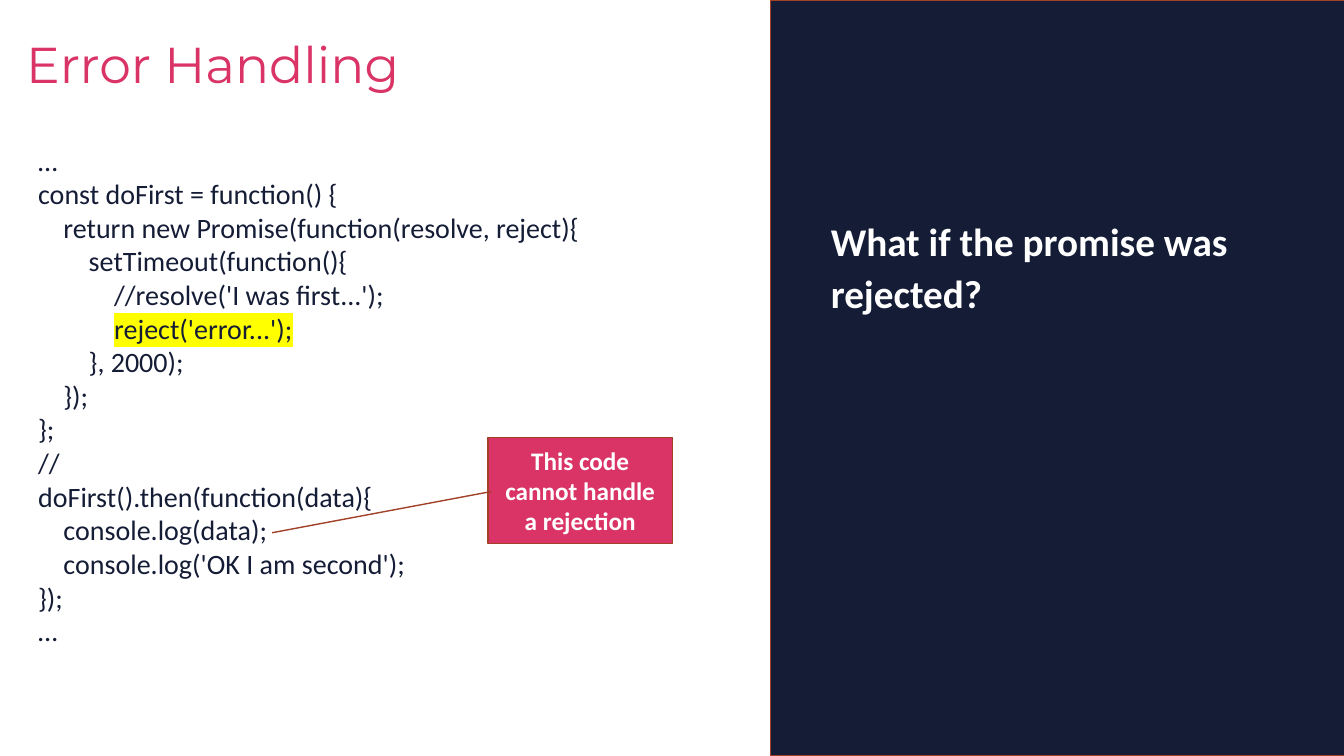
from lxml import etree
from pptx import Presentation
from pptx.dml.color import RGBColor
from pptx.enum.shapes import MSO_SHAPE as Preset
from pptx.enum.text import MSO_ANCHOR as Anchor, MSO_AUTO_SIZE as AutoSize, PP_ALIGN as Align
from pptx.oxml.ns import qn
from pptx.util import Inches, Pt

COLORS = {"navy": "141C36", "pink": "DA3467", "rust": "A14127",
          "white": "FFFFFF", "marker": "FFFF00"}

TITLE = {"name": "Montserrat", "size": Pt(36), "bold": False}
QUESTION = {"name": "Calibri", "size": Pt(28), "bold": True}
CODE = {"name": "Calibri", "size": Pt(20), "bold": False}
NOTE = {"name": "Calibri", "size": Pt(18), "bold": True}

REJECTION = "reject('error...');"
CODE_TEXT = f"""…
const doFirst = function() {{
    return new Promise(function(resolve, reject){{
        setTimeout(function(){{
            //resolve('I was first...');
            {REJECTION}
        }}, 2000);
    }});
}};
//
doFirst().then(function(data){{
    console.log(data);
    console.log('OK I am second');
}});
…"""


def rgb(color):
    return RGBColor.from_string(COLORS[color])


def style(font, formats, color):
    for key, value in formats.items():
        setattr(font, key, value)
    font.color.rgb = rgb(color)


def highlight(run):
    """Mark a run; the highlight element has to stand before the font name."""
    mark = etree.Element(qn("a:highlight"))
    etree.SubElement(mark, qn("a:srgbClr"), val=COLORS["marker"])
    run.font._element.find(qn("a:latin")).addprevious(mark)


def place(shape, box):
    for side, length in zip(("left", "top", "width", "height"), box):
        setattr(shape, side, Inches(length))


def fill_placeholder(placeholder, box, text, formats, color, anchor):
    place(placeholder, box)
    frame = placeholder.text_frame
    frame.text = text
    frame.word_wrap = True
    frame.auto_size = AutoSize.NONE
    frame.vertical_anchor = anchor
    for side in ("left", "top", "right", "bottom"):
        setattr(frame, f"margin_{side}", 0)
    paragraph = frame.paragraphs[0]
    properties = paragraph._p.get_or_add_pPr()
    properties.set("marL", "0")
    properties.set("indent", "0")
    etree.SubElement(properties, qn("a:buNone"))
    paragraph.alignment = Align.LEFT
    paragraph.line_spacing = 1.1
    paragraph.space_before = Pt(0)
    style(paragraph.runs[0].font, formats, color)


def add_filled_shape(slide, preset, box, color):
    shape = slide.shapes.add_shape(preset, *map(Inches, box))
    shape.shadow.inherit = False
    shape.fill.solid()
    shape.fill.fore_color.rgb = rgb(color)
    shape.line.color.rgb = rgb("rust")
    shape.line.width = Pt(1)
    return shape


def add_question_panel(slide, question, box):
    left, top, width, _ = box
    panel = add_filled_shape(slide, Preset.RECTANGLE, box, "navy")
    slide.shapes._spTree.insert(2, panel._element)
    fill_placeholder(question, (left + 0.6, top + 2.14, width - 1.23, 1),
                     "What if the promise was rejected?", QUESTION, "white", Anchor.BOTTOM)


def add_code(slide, box):
    frame = slide.shapes.add_textbox(*map(Inches, box)).text_frame
    frame.word_wrap = True
    frame.auto_size = AutoSize.SHAPE_TO_FIT_TEXT
    for number, line in enumerate(CODE_TEXT.split("\n")):
        paragraph = frame.add_paragraph() if number else frame.paragraphs[0]
        before, rejection, _ = line.partition(REJECTION)
        for part in filter(None, (before, rejection)):
            run = paragraph.add_run()
            run.text = part
            style(run.font, CODE, "navy")
            if part == REJECTION:
                highlight(run)


def add_callout(slide, box):
    callout = add_filled_shape(slide, Preset.LINE_CALLOUT_1, box, "pink")
    for index, value in enumerate((0.51, 0.02, 0.9, -1.17)):
        callout.adjustments[index] = value
    frame = callout.text_frame
    frame.text = "This code cannot handle a rejection"
    frame.word_wrap = True
    frame.vertical_anchor = Anchor.MIDDLE
    paragraph = frame.paragraphs[0]
    paragraph.alignment = Align.CENTER
    style(paragraph.runs[0].font, NOTE, "white")


def build_error_slide(deck):
    slide = deck.slides.add_slide(deck.slide_layouts[1])
    title, question = slide.placeholders
    fill_placeholder(title, (0.26, 0.27, 7.38, 1.24), "Error Handling",
                     TITLE, "pink", Anchor.TOP)
    add_question_panel(slide, question, (7.64, 0, 5.72, 7.5))
    add_code(slide, (0.28, 1.37, 7.36, 5.15))
    add_callout(slide, (4.84, 4.34, 1.83, 1.05))


def main():
    deck = Presentation()
    deck.slide_width, deck.slide_height = Inches(13.33), Inches(7.5)
    build_error_slide(deck)
    deck.save("out.pptx")


if __name__ == "__main__":
    main()
